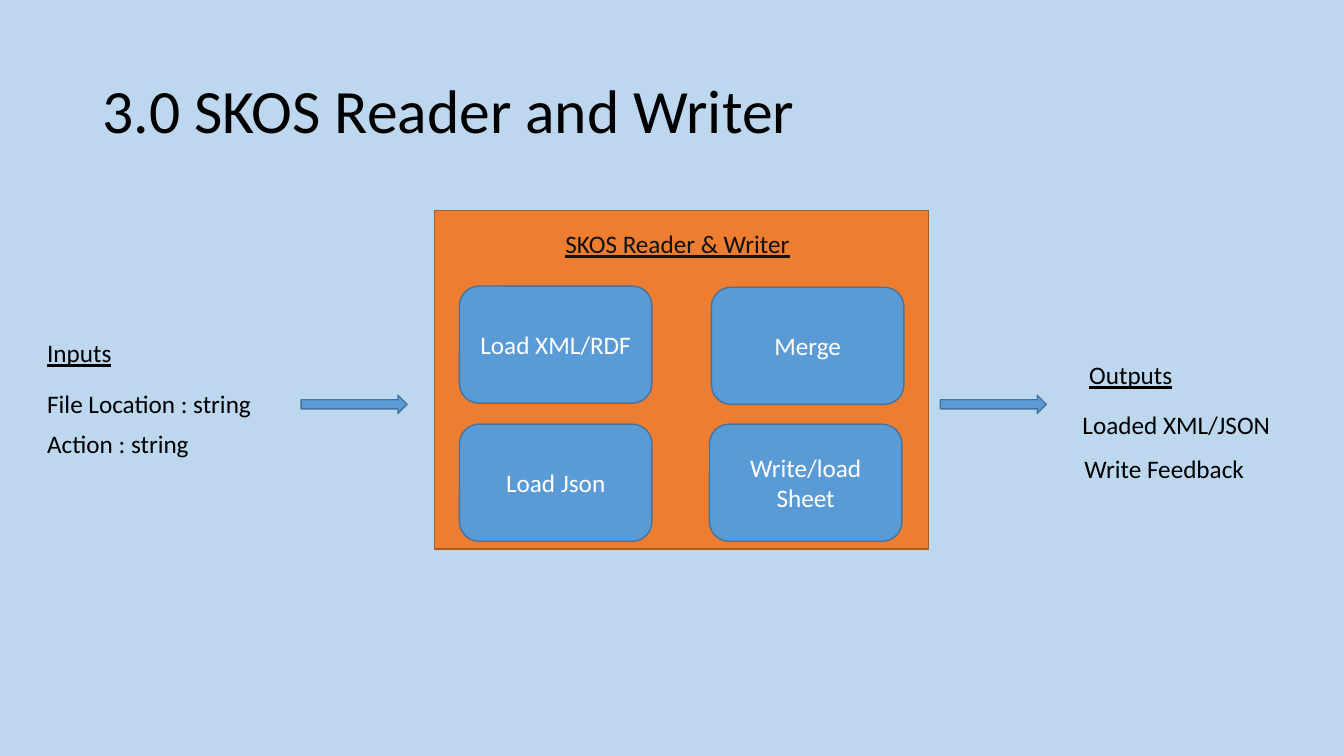
from pptx import Presentation
from pptx.dml.color import RGBColor
from pptx.enum.shapes import MSO_SHAPE
from pptx.enum.text import MSO_ANCHOR, MSO_AUTO_SIZE, PP_ALIGN
from pptx.util import Cm, Pt

# Content: lengths in centimetres
TITLE = "3.0 SKOS Reader and Writer"
PANEL = (10.95, 5.31, 12.45, 8.53)
STEP_SIZE = (4.85, 2.95)
STEPS = [  # text, left, top
    ("Load XML/RDF", 11.58, 7.21),
    ("Merge", 17.93, 7.24),
    ("Load Json", 11.58, 10.69),
    ("Write/load Sheet", 17.88, 10.69),
]
ARROW_SIZE = (2.67, 0.46)
ARROW_TOP = 9.96
ARROW_LEFTS = [7.59, 23.7]
LABEL_HEIGHT = 1.02
PANEL_HEADING = ("SKOS Reader & Writer", 14.0, 5.64, 6.22)
SIDE_HEADINGS = [  # text, left, top, width
    ("Inputs", 0.94, 8.38, 2.16),
    ("Outputs", 27.2, 8.94, 2.62),
]
SIDE_ITEMS = [
    ("File Location : string", 0.94, 9.65, 5.72),
    ("Action : string", 0.94, 10.67, 4.11),
    ("Loaded XML/JSON", 27.03, 10.19, 5.31),
    ("Write Feedback", 27.08, 11.3, 4.57),
]


class Theme:
    background = RGBColor.from_string("BDD7EE")
    panel = RGBColor.from_string("ED7D31")
    panel_line = RGBColor.from_string("AF5C24")
    accent = RGBColor.from_string("5B9BD5")
    accent_line = RGBColor.from_string("43739E")
    text = RGBColor.from_string("000000")
    panel_text = RGBColor.from_string("111111")
    step_text = RGBColor.from_string("FFFFFF")
    font = "Calibri"
    title_size = Pt(44)
    body_size = Pt(18)
    line_width = Pt(1)


def set_attributes(target, values):
    for name, value in values.items():
        setattr(target, name, value)


def write_text(shape, text, color, size=Theme.body_size, underline=False,
               alignment=PP_ALIGN.LEFT, **frame_format):
    frame = shape.text_frame
    set_attributes(frame, frame_format)
    paragraph = frame.paragraphs[0]
    paragraph.alignment = alignment
    run = paragraph.add_run()
    run.text = text
    set_attributes(run.font, {"name": Theme.font, "size": size, "underline": underline})
    run.font.color.rgb = color
    return paragraph


def add_block(slide, kind, box, fill=Theme.accent, line=Theme.accent_line):
    shape = slide.shapes.add_shape(kind, *map(Cm, box))
    shape.shadow.inherit = False
    shape.fill.solid()
    shape.fill.fore_color.rgb = fill
    shape.line.color.rgb = line
    shape.line.width = Theme.line_width
    return shape


def add_label(slide, label, color=Theme.text, underline=False):
    text, left, top, width = label
    box = slide.shapes.add_textbox(*map(Cm, (left, top, width, LABEL_HEIGHT)))
    write_text(box, text, color, underline=underline, word_wrap=False,
               auto_size=MSO_AUTO_SIZE.SHAPE_TO_FIT_TEXT)


def main():
    presentation = Presentation()
    set_attributes(presentation, {"slide_width": Cm(33.87), "slide_height": Cm(19.05)})
    slide = presentation.slides.add_slide(presentation.slide_layouts[5])
    slide.background.fill.solid()
    slide.background.fill.fore_color.rgb = Theme.background

    # Title
    title = slide.shapes.title
    set_attributes(title, {"left": Cm(2.33), "top": Cm(1.01),
                           "width": Cm(29.21), "height": Cm(3.68)})
    paragraph = write_text(title, TITLE, Theme.text, Theme.title_size,
                           vertical_anchor=MSO_ANCHOR.MIDDLE, word_wrap=True)
    paragraph.line_spacing = 0.9

    # Component panel and its steps
    add_block(slide, MSO_SHAPE.RECTANGLE, PANEL, Theme.panel, Theme.panel_line)
    add_label(slide, PANEL_HEADING, Theme.panel_text, underline=True)
    for text, left, top in STEPS:
        step = add_block(slide, MSO_SHAPE.ROUNDED_RECTANGLE, (left, top, *STEP_SIZE))
        write_text(step, text, Theme.step_text, alignment=PP_ALIGN.CENTER,
                   vertical_anchor=MSO_ANCHOR.MIDDLE, word_wrap=True)

    # Flow arrows
    for left in ARROW_LEFTS:
        add_block(slide, MSO_SHAPE.RIGHT_ARROW, (left, ARROW_TOP, *ARROW_SIZE))

    # Inputs and outputs
    for heading in SIDE_HEADINGS:
        add_label(slide, heading, underline=True)
    for item in SIDE_ITEMS:
        add_label(slide, item)

    presentation.save("out.pptx")


if __name__ == "__main__":
    main()
